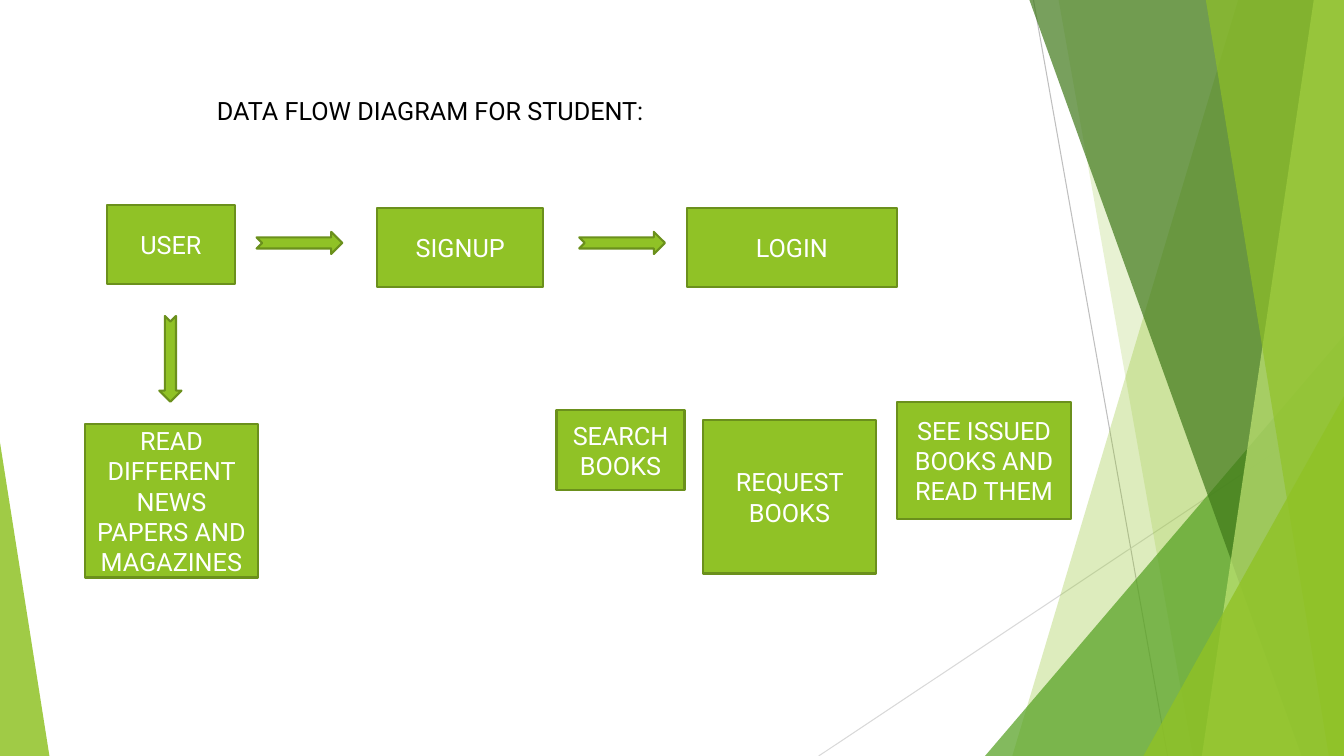
from dataclasses import dataclass

from lxml import etree
from pptx import Presentation
from pptx.dml.color import RGBColor
from pptx.enum.shapes import MSO_CONNECTOR, MSO_SHAPE
from pptx.enum.text import MSO_ANCHOR, MSO_AUTO_SIZE, PP_ALIGN
from pptx.oxml.ns import qn
from pptx.util import Inches, Pt

RECTANGLE = MSO_SHAPE.RECTANGLE
TRIANGLE = MSO_SHAPE.ISOSCELES_TRIANGLE
ARROW = MSO_SHAPE.NOTCHED_RIGHT_ARROW
STRAIGHT = MSO_CONNECTOR.STRAIGHT
TOP, MIDDLE = MSO_ANCHOR.TOP, MSO_ANCHOR.MIDDLE
LEFT, CENTER = PP_ALIGN.LEFT, PP_ALIGN.CENTER


@dataclass(frozen=True)
class Theme:
    font: str = "Roboto"
    size: float = 18
    ink: str = "000000"
    paper: str = "FFFFFF"
    lime: str = "90C226"
    olive: str = "6B901C"
    leaf: str = "54A021"
    forest: str = "3F7819"
    pale: str = "C0E474"
    border: float = 1.5
    hairline: float = 0.75


THEME = Theme()

# The grid has one column and one row per inch.
COLUMNS, ROWS = 13.33, 7.5

TITLE = "DATA FLOW DIAGRAM FOR STUDENT:"
TITLE_AREA = (2.05, 0.9, 4.52, 0.4)

# text: left, top, width, height
STEPS = {
    "USER": (1.06, 2.03, 1.27, 0.79),
    "SIGNUP": (3.74, 2.06, 1.65, 0.79),
    "LOGIN": (6.81, 2.06, 2.09, 0.79),
    "SEE ISSUED BOOKS AND READ THEM": (8.9, 3.99, 1.72, 1.16),
    "SEARCH BOOKS": (5.52, 4.07, 1.27, 0.79),
    "REQUEST BOOKS": (6.97, 4.17, 1.72, 1.52),
    "READ DIFFERENT NEWS PAPERS AND MAGAZINES": (0.84, 4.21, 1.72, 1.52),
}

# centre column, centre row, rotation
ARROWS = [(2.97, 2.41, 0), (6.17, 2.41, 0), (1.69, 3.56, 90)]
ARROW_LENGTH, ARROW_BREADTH = 0.85, 0.22

# start column, start row, end column, end row, colour
RAYS = [(10.25, 0, 11.58, ROWS, "BFBFBF"), (COLUMNS, 4.03, 8.12, ROWS, "D9D9D9")]

# Bands run from top to bottom and reach the right edge:
# left column at the top, left column at the bottom, colour, opacity
# Peaks stand on the bottom edge:
# left column, top row, width, apex share, colour, opacity
FACETS = [
    ("band", 12.28, 10.04, THEME.lime, 30),
    ("band", 10.5, 11.83, THEME.lime, 20),
    ("peak", 9.77, 3.33, 3.56, 1, THEME.leaf, 72),
    ("band", 10.21, 12.91, THEME.forest, 70),
    ("band", 13.03, 11.92, THEME.pale, 70),
    ("band", 11.96, 13.18, THEME.lime, 65),
    ("peak", 11.34, 3.93, 1.99, 1, THEME.lime, 80),
    ("peak", 0, 4.39, 0.49, 0, THEME.lime, 85),
]


def grid(*lengths):
    return [Inches(length) for length in lengths]


def paint(shape, color, opacity=100, border=None):
    shape.shadow.inherit = False
    shape.fill.solid()
    shape.fill.fore_color.rgb = RGBColor.from_string(color)
    if opacity < 100:
        color_node = shape.fill._xPr.find(qn("a:solidFill"))[0]
        etree.SubElement(color_node, qn("a:alpha"), val=str(opacity * 1000))
    if border:
        shape.line.color.rgb = RGBColor.from_string(border)
        shape.line.width = Pt(THEME.border)
    else:
        shape.line.fill.background()


def write(shape, text, color=THEME.ink, align=LEFT, anchor=TOP):
    frame = shape.text_frame
    frame.text = text
    frame.word_wrap = True
    frame.auto_size = MSO_AUTO_SIZE.NONE
    frame.vertical_anchor = anchor
    paragraph = frame.paragraphs[0]
    paragraph.alignment = align
    font = paragraph.runs[0].font
    font.name, font.size = THEME.font, Pt(THEME.size)
    font.color.rgb = RGBColor.from_string(color)


def add_ray(shapes, start_x, start_y, end_x, end_y, color):
    ray = shapes.add_connector(STRAIGHT, *grid(start_x, start_y, end_x, end_y))
    ray.line.color.rgb = RGBColor.from_string(color)
    ray.line.width = Pt(THEME.hairline)
    etree.SubElement(ray._element.spPr, qn("a:effectLst"))


def add_band(shapes, top_x, bottom_x, color, opacity):
    outline = shapes.build_freeform(*grid(top_x, 0))
    corners = [(COLUMNS, 0), (COLUMNS, ROWS), (bottom_x, ROWS)]
    outline.add_line_segments([grid(*corner) for corner in corners], close=True)
    paint(outline.convert_to_shape(), color, opacity)


def add_peak(shapes, left, top, width, apex, color, opacity):
    peak = shapes.add_shape(TRIANGLE, *grid(left, top, width, ROWS - top))
    peak.adjustments[0] = apex
    paint(peak, color, opacity)


def add_step(shapes, text, area):
    step = shapes.add_shape(RECTANGLE, *grid(*area))
    paint(step, THEME.lime, border=THEME.olive)
    write(step, text, color=THEME.paper, align=CENTER, anchor=MIDDLE)


def add_arrow(shapes, center_x, center_y, rotation):
    left, top = center_x - ARROW_LENGTH / 2, center_y - ARROW_BREADTH / 2
    arrow = shapes.add_shape(ARROW, *grid(left, top, ARROW_LENGTH, ARROW_BREADTH))
    arrow.rotation = rotation
    paint(arrow, THEME.lime, border=THEME.olive)


def main():
    deck = Presentation()
    deck.slide_width, deck.slide_height = grid(COLUMNS, ROWS)
    slide = deck.slides.add_slide(deck.slide_layouts[5])
    shapes = slide.shapes

    title = shapes.title
    title.left, title.top, title.width, title.height = grid(*TITLE_AREA)
    write(title, TITLE)

    for ray in RAYS:
        add_ray(shapes, *ray)
    add_facet = {"band": add_band, "peak": add_peak}
    for kind, *facet in FACETS:
        add_facet[kind](shapes, *facet)
    for text, area in STEPS.items():
        add_step(shapes, text, area)
    for arrow in ARROWS:
        add_arrow(shapes, *arrow)

    deck.save("out.pptx")


if __name__ == "__main__":
    main()
